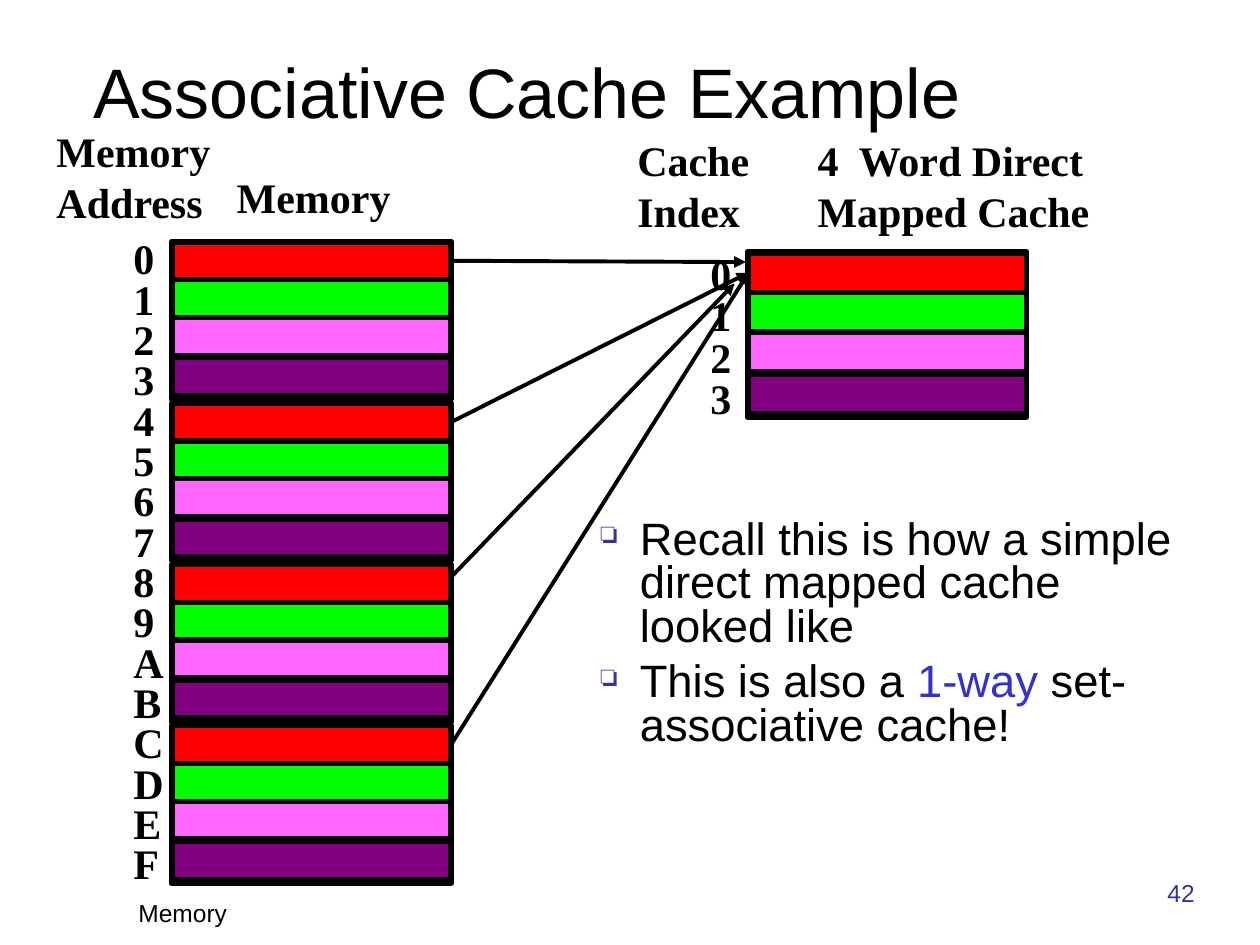
from lxml import etree
from pptx import Presentation
from pptx.dml.color import RGBColor
from pptx.enum.shapes import MSO_CONNECTOR, MSO_SHAPE
from pptx.enum.text import MSO_ANCHOR, PP_ALIGN
from pptx.oxml.ns import qn
from pptx.util import Inches, Pt

STRAIGHT = MSO_CONNECTOR.STRAIGHT
RECTANGLE = MSO_SHAPE.RECTANGLE
TOP, MIDDLE, BOTTOM = MSO_ANCHOR.TOP, MSO_ANCHOR.MIDDLE, MSO_ANCHOR.BOTTOM
LEFT, RIGHT = PP_ALIGN.LEFT, PP_ALIGN.RIGHT
LEFT_SIDE, RIGHT_SIDE = 1, 3
TITLE_ONLY = 5

BLACK = RGBColor(0x00, 0x00, 0x00)
RED = RGBColor(0xFF, 0x00, 0x00)
GREEN = RGBColor(0x00, 0xFF, 0x00)
PINK = RGBColor(0xFF, 0x66, 0xFF)
PURPLE = RGBColor(0x80, 0x00, 0x80)
NAVY = RGBColor(0x33, 0x33, 0x99)
BLUE = RGBColor(0x33, 0x33, 0xCC)
WORD_COLORS = (RED, GREEN, PINK, PURPLE)

LABEL = {"name": "Times New Roman", "size": Pt(24), "bold": True}
TITLE = {"name": "Arial", "size": Pt(40), "bold": False}
BODY = {"name": "Arial", "size": Pt(25.9)}
FOOTER = {"name": "Arial", "size": Pt(14)}

WORD_WIDTH = 2.22
MEMORY_LEFT, MEMORY_TOP, BLOCK_STEP = 1.36, 1.92, 1.28
CACHE_LEFT, CACHE_TOP = 5.93, 2.0


class SlideBuilder:
    def __init__(self, slide):
        self.slide = slide
        self.shapes = slide.shapes

    def format_runs(self, paragraph, style, color):
        for run in paragraph.runs:
            for name, value in style.items():
                setattr(run.font, name, value)
            run.font.color.rgb = color

    def title(self, text, box):
        title = self.shapes.title
        title.left, title.top, title.width, title.height = map(Inches, box)
        frame = title.text_frame
        frame.text = text
        frame.vertical_anchor = MIDDLE
        frame.paragraphs[0].alignment = LEFT
        self.format_runs(frame.paragraphs[0], TITLE, BLACK)

    def text(self, lines, box, style=LABEL, color=BLACK, wrap=False,
             anchor=TOP, alignment=LEFT):
        frame = self.shapes.add_textbox(*map(Inches, box)).text_frame
        frame.word_wrap = wrap
        frame.vertical_anchor = anchor
        frame.text = lines
        for paragraph in frame.paragraphs:
            paragraph.alignment = alignment
            self.format_runs(paragraph, style, color)

    def bullets(self, items, box):
        """Each item is a list of (text, colour) runs."""
        frame = self.shapes.add_textbox(*map(Inches, box)).text_frame
        frame.word_wrap = True
        for index, item in enumerate(items):
            paragraph = frame.add_paragraph() if index else frame.paragraphs[0]
            self.add_bullet(paragraph)
            paragraph.line_spacing = 0.8
            paragraph.space_before = Pt(7 if index else 0)
            for text, color in item:
                run = paragraph.add_run()
                run.text = text
                for name, value in BODY.items():
                    setattr(run.font, name, value)
                run.font.color.rgb = color

    def add_bullet(self, paragraph):
        properties = paragraph._p.get_or_add_pPr()
        properties.set("marL", str(Inches(0.31)))
        properties.set("indent", str(-Inches(0.31)))
        color = etree.SubElement(properties, qn("a:buClr"))
        etree.SubElement(color, qn("a:srgbClr"), val=str(NAVY))
        etree.SubElement(properties, qn("a:buSzPct"), val="65000")
        etree.SubElement(properties, qn("a:buChar"), char="❏")

    def rectangle(self, box, fill=None):
        shape = self.shapes.add_shape(RECTANGLE, *map(Inches, box))
        shape.shadow.inherit = False
        if fill is None:
            shape.fill.background()
        else:
            shape.fill.solid()
            shape.fill.fore_color.rgb = fill
        shape.line.color.rgb = BLACK
        shape.line.width = Pt(3)
        return shape

    def line(self, start, end, width=3, arrow=False):
        connector = self.shapes.add_connector(
            STRAIGHT, *map(Inches, (*start, *end)))
        connector.line.color.rgb = BLACK
        connector.line.width = Pt(width)
        if arrow:
            etree.SubElement(connector.line._get_or_add_ln(),
                             qn("a:tailEnd"), type="triangle")
        etree.SubElement(connector._element.spPr, qn("a:effectLst"))
        return connector

    def block(self, left, top, height, dividers, word_tops, word_height):
        """Draw a framed block of four coloured words and return the first."""
        self.rectangle((left, top, WORD_WIDTH, height))
        for offset in dividers:
            y = top + offset
            self.line((left, y), (left + WORD_WIDTH, y))
        words = [
            self.rectangle((left + 0.01, top + offset,
                            WORD_WIDTH - 0.01, word_height), color)
            for offset, color in zip(word_tops, WORD_COLORS)]
        return words[0]

    def labels(self, names, left, top, step):
        for index, name in enumerate(names):
            width = 0.42 if name.isalpha() else 0.36
            self.text(name, (left, top + index * step, width, 0.5))


def main():
    presentation = Presentation()
    presentation.slide_width = Inches(10)
    presentation.slide_height = Inches(7.5)
    builder = SlideBuilder(presentation.slides.add_slide(
        presentation.slide_layouts[TITLE_ONLY]))

    builder.title("Associative Cache Example", (0.64, 0.49, 8.11, 0.45))
    builder.text("Memory", (1, 7.08, 2.08, 0.33), FOOTER,
                 wrap=True, anchor=BOTTOM)
    builder.text("42", (8.33, 6.92, 1.25, 0.33), FOOTER, NAVY,
                 wrap=True, anchor=BOTTOM, alignment=RIGHT)
    builder.bullets([
        [("Recall this is how a simple direct mapped cache looked like",
          BLACK)],
        [("This is also a ", BLACK), ("1-way", BLUE),
         (" set-associative cache!", BLACK)],
    ], (4.67, 4.08, 5, 2.04))

    builder.text("Memory \nAddress", (0.35, 0.95, 1.5, 0.9))
    builder.text("Memory", (1.78, 1.31, 1.42, 0.5))
    builder.text("Cache\nIndex", (4.96, 1.02, 1.17, 0.9))
    builder.text("4  Word Direct\nMapped Cache", (6.39, 1.02, 2.42, 0.9))

    first_words = [
        builder.block(MEMORY_LEFT, MEMORY_TOP + index * BLOCK_STEP, 1.25,
                      (0.3, 0.62, 0.94), (0, 0.3, 0.6, 0.92), 0.3)
        for index in range(4)]
    cache_word = builder.block(CACHE_LEFT, CACHE_TOP, 1.31,
                               (0.32, 0.66, 0.99), (0.01, 0.32, 0.64, 0.97),
                               0.31)
    builder.labels("0123456789ABCDEF", 0.96, 1.8, 0.32)
    builder.labels("0123", 5.54, 1.92, 0.33)

    # Each arrow: start height, end point, joined at start, joined at end
    arrows = (
        (2.08, (5.92, 2.08), True, False),
        (3.33, (5.92, 2.17), True, True),
        (4.58, (5.83, 2.25), False, False),
        (5.92, (5.92, 2.17), True, True),
    )
    for word, (y, end, join_start, join_end) in zip(first_words, arrows):
        arrow = builder.line((MEMORY_LEFT + WORD_WIDTH, y), end, 2.25, True)
        if join_start:
            arrow.begin_connect(word, RIGHT_SIDE)
        if join_end:
            arrow.end_connect(cache_word, LEFT_SIDE)

    presentation.save("out.pptx")


if __name__ == "__main__":
    main()
